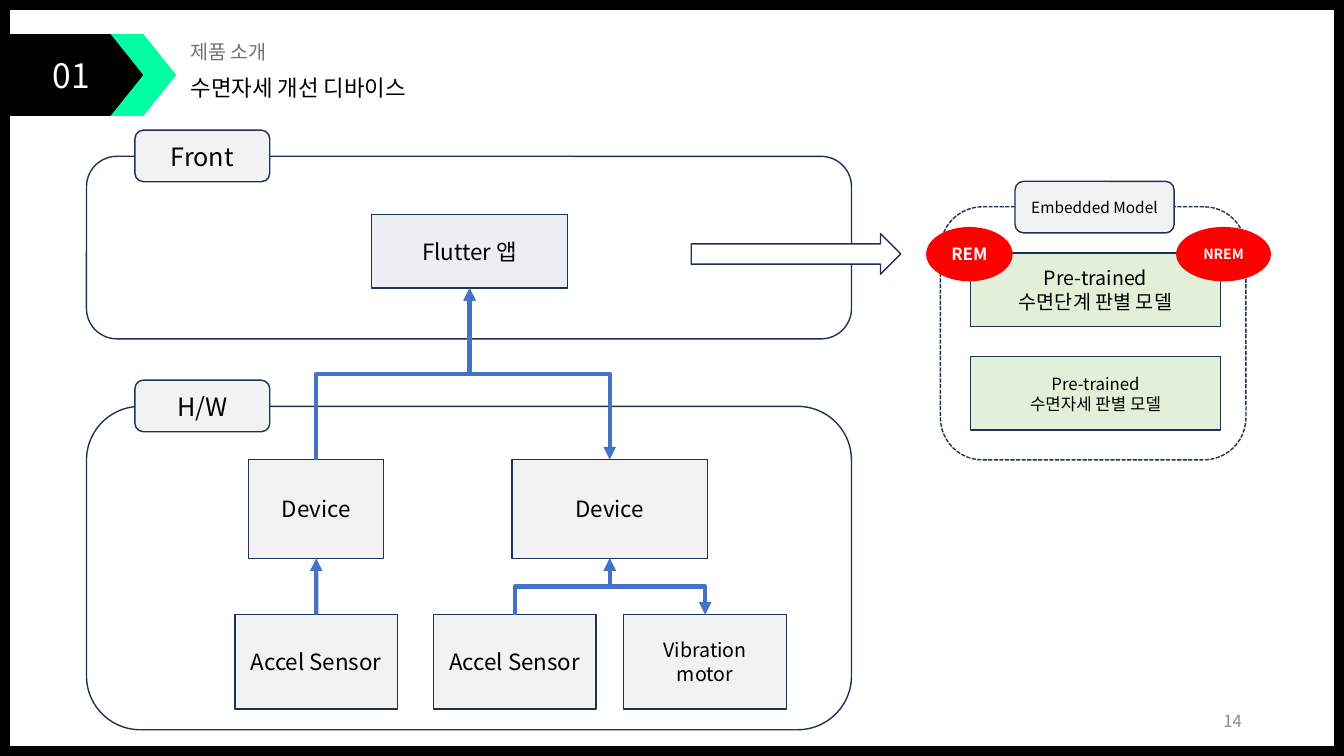
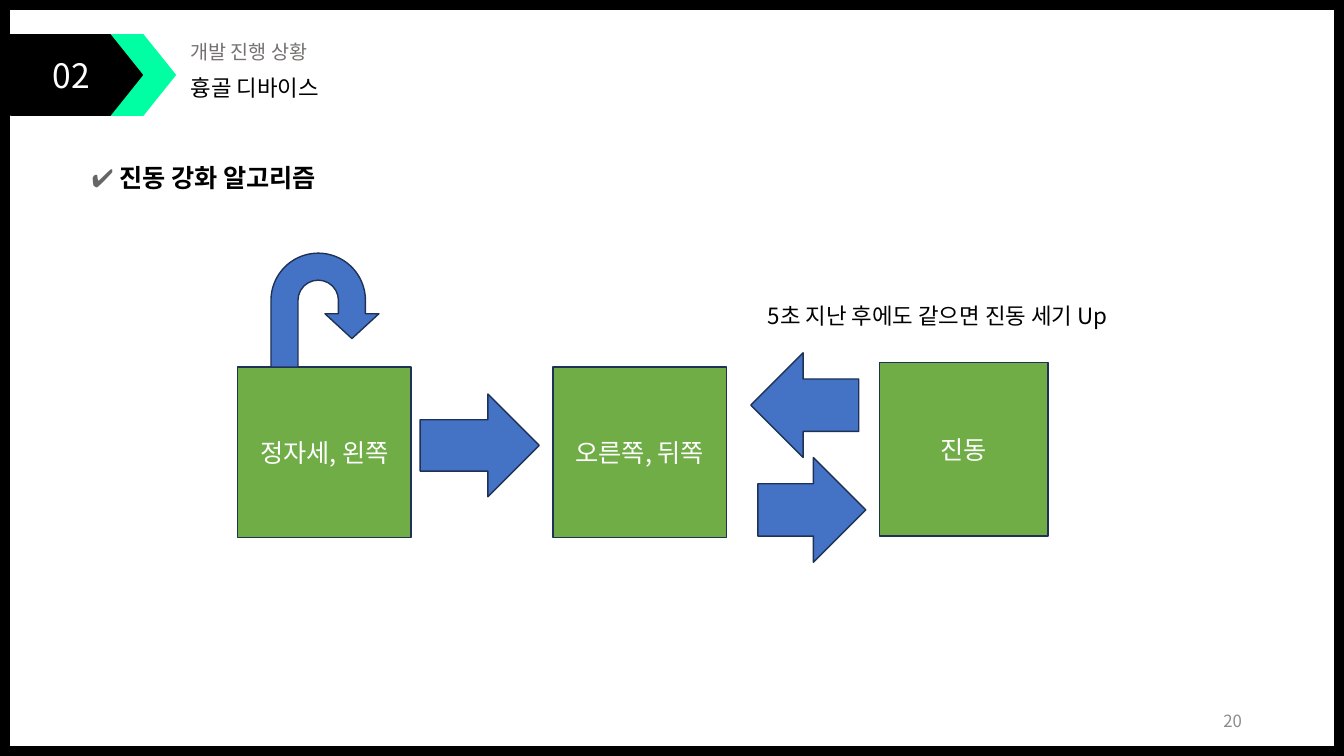
from pptx import Presentation
from pptx.dml.color import RGBColor
from pptx.enum.dml import MSO_LINE
from pptx.enum.shapes import MSO_CONNECTOR as Link, MSO_SHAPE as Shp
from pptx.enum.text import MSO_ANCHOR as Anchor, MSO_AUTO_SIZE as Fit, PP_ALIGN as Align
from pptx.oxml.ns import qn
from pptx.util import Cm, Pt
from lxml.etree import SubElement

FONT = "Noto Sans CJK KR"
C = {
    "black": "000000", "white": "FFFFFF", "mint": "00FFA3", "navy": "1E3256",
    "blue": "4472C4", "green": "70AD47", "pale_green": "E2F0D9", "pale_blue": "EBEEF2",
    "light": "F2F2F2", "red": "FF0000", "section": "767171", "number": "8C8C8C",
    "check": "666666",
}


class Deck:
    """Hold the deck style and the current slide, and draw each kind of element."""

    def __init__(self):
        self.prs = Presentation()
        self.prs.slide_width, self.prs.slide_height = Cm(33.87), Cm(19.05)
        self.s = None

    def rgb(self, name):
        return RGBColor.from_string(C[name])

    def style(self, r, size, color="black", bold=False, font=FONT):
        r.font.size, r.font.bold, r.font.name = Pt(size), bold, font
        r.font.color.rgb = self.rgb(color)
        SubElement(r.font._element, qn("a:ea")).set("typeface", font)

    def fill_text(self, tf, text, size, color="black", bold=False, align=Align.LEFT, anchor=Anchor.TOP):
        tf.text = text
        tf.word_wrap, tf.vertical_anchor = True, anchor
        for p in tf.paragraphs:
            p.alignment = align
            for r in p.runs:
                self.style(r, size, color, bold)

    def text(self, box, text, size, color="black", **kw):
        sp = self.s.shapes.add_textbox(*map(Cm, box))
        self.fill_text(sp.text_frame, text, size, color, **kw)
        return sp

    def shape(self, kind, box, fill, text="", size=16, color="black", bold=False, line="navy", adj=()):
        sp = self.s.shapes.add_shape(kind, *map(Cm, box))
        sp.shadow.inherit = False
        sp.fill.solid()
        sp.fill.fore_color.rgb = self.rgb(fill)
        if line:
            sp.line.color.rgb, sp.line.width = self.rgb(line), Pt(1)
        else:
            sp.line.fill.background()
        for i, value in enumerate(adj):
            sp.adjustments[i] = value
        if text:
            self.fill_text(sp.text_frame, text, size, color, bold, Align.CENTER, Anchor.MIDDLE)
        return sp

    def arrow(self, c, both=False):
        c.line.color.rgb, c.line.width = self.rgb("blue"), Pt(3)
        ln = c._element.spPr.find(qn("a:ln"))
        for end in ("a:headEnd", "a:tailEnd") if both else ("a:tailEnd",):
            SubElement(ln, qn(end)).set("type", "triangle")
        SubElement(c._element.spPr, qn("a:effectLst"))

    def straight_up(self, low, high):
        c = self.s.shapes.add_connector(Link.STRAIGHT, 0, 0, 0, 0)
        c.begin_connect(low, 0)
        c.end_connect(high, 2)
        self.arrow(c)

    def elbow(self, a, b):
        down = b.top > a.top
        x1, x2 = a.left + a.width // 2, b.left + b.width // 2
        y1 = a.top + a.height if down else a.top
        y2 = b.top if down else b.top + b.height
        cx, cy = (x1 + x2) // 2, (y1 + y2) // 2
        dx, dy = (x2 - x1) // 2, (y1 - y2) // 2
        c = self.s.shapes.add_connector(Link.ELBOW, cx - dy, cy - dx, cx + dy, cy + dx)
        c._element.spPr.find(qn("a:xfrm")).set("rot", "16200000")
        self.arrow(c, both=down)

    def slide(self, chapter, section, title, number):
        self.s = self.prs.slides.add_slide(self.prs.slide_layouts[5])
        self.shape(Shp.FRAME, (0, 0, 33.87, 19.05), "black", line=None, adj=[0.013])
        self.text((23.93, 17.65, 7.62, 1.02), number, 12, "number", align=Align.RIGHT, anchor=Anchor.MIDDLE)
        self.text((4.55, 0.89, 8.64, 0.86), section, 14, "section")
        sp = self.s.shapes.title
        sp.left, sp.top, sp.width, sp.height = map(Cm, (4.55, 1.75, 8.64, 0.94))
        self.fill_text(sp.text_frame, title, 16)
        sp.text_frame.auto_size = Fit.NONE
        self.shape(Shp.ROUNDED_RECTANGLE, (0, 0.86, 3.61, 2.06), "black", chapter, 24, "white",
                   line=None, adj=[0.143])
        self.shape(Shp.CHEVRON, (2.79, 0.86, 1.65, 2.06), "mint", line=None)

    def check_heading(self, box, text):
        tf = self.text(box, "✔ ", 18).text_frame
        tf.word_wrap = False
        p = tf.paragraphs[0]
        r = p.add_run()
        r.text = text
        self.style(r, 18, bold=True)
        mark = p.runs[0]
        mark.font.name, mark.font.color.rgb = "Calibri", self.rgb("check")


def architecture(d):
    d.slide("01", "제품 소개", "수면자세 개선 디바이스", "14")
    model = d.shape(Shp.ROUNDED_RECTANGLE, (23.7, 5.21, 7.7, 6.38), "white")
    model.line.dash_style = MSO_LINE.SQUARE_DOT
    for top, height in ((3.94, 4.6), (10.24, 8.15)):
        d.shape(Shp.ROUNDED_RECTANGLE, (2.18, top, 19.28, height), "white")
    for left, top, width, label, size in (
        (3.4, 3.28, 3.4, "Front", 18),
        (3.4, 9.58, 3.4, "H/W", 18),
        (25.58, 4.57, 4.01, "Embedded Model", 11),
    ):
        d.shape(Shp.ROUNDED_RECTANGLE, (left, top, width, 1.3), "light", label, size)

    app = d.shape(Shp.RECTANGLE, (9.37, 5.41, 4.93, 1.85), "pale_blue", "Flutter 앱")
    device1, device2 = [
        d.shape(Shp.RECTANGLE, (left, 11.58, width, 2.49), "light", "Device")
        for left, width in ((6.27, 3.4), (12.9, 4.93))
    ]
    accel1, accel2, motor = [
        d.shape(Shp.RECTANGLE, (left, 15.49, 4.1, 2.38), "light", label, size)
        for left, label, size in (
            (5.92, "Accel Sensor", 16), (10.92, "Accel Sensor", 16), (15.72, "Vibration motor", 14))
    ]
    d.straight_up(accel1, device1)
    for a, b in ((accel2, device2), (device2, motor), (app, device2), (device1, app)):
        d.elbow(a, b)

    for top, label, size in (
        (6.38, "Pre-trained\v수면단계 판별 모델", 14),
        (8.99, "Pre-trained\v수면자세 판별 모델", 12),
    ):
        d.shape(Shp.RECTANGLE, (24.46, top, 6.3, 1.85), "pale_green", label, size)
    d.shape(Shp.RIGHT_ARROW, (17.42, 5.89, 5.28, 1.02), "white")
    for left, width, label, size in ((23.34, 2.18, "REM", 12), (29.64, 2.39, "NREM", 10)):
        d.shape(Shp.OVAL, (left, 5.72, width, 1.37), "red", label, size, "white", True, line=None)


def vibration(d):
    d.slide("02", "개발 진행 상황", "흉골 디바이스", "20")
    d.check_heading((2.06, 3.96, 6.76, 1.02), "진동 강화 알고리즘")
    for box, label in (
        ((5.99, 9.25, 4.37, 4.29), "정자세, 왼쪽"),
        ((13.94, 9.25, 4.37, 4.29), "오른쪽, 뒤쪽"),
        ((22.17, 9.14, 4.24, 4.37), "진동"),
    ):
        d.shape(Shp.RECTANGLE, box, "green", label, 18, "white")
    for box, angle in (
        ((10.59, 9.93, 3, 2.59), 0),
        ((19.1, 11.53, 2.72, 2.64), 0),
        ((18.92, 8.89, 2.72, 2.64), 180),
    ):
        d.shape(Shp.RIGHT_ARROW, box, "blue").rotation = angle
    d.shape(Shp.U_TURN_ARROW, (6.83, 6.38, 2.72, 2.87), "blue", adj=[0.25, 0.25, 0.23, 0.44, 0.75])
    d.text((19.1, 7.49, 10.44, 0.94), "5초 지난 후에도 같으면 진동 세기 Up", 16)


def main():
    d = Deck()
    architecture(d)
    vibration(d)
    d.prs.save("out.pptx")


if __name__ == "__main__":
    main()
